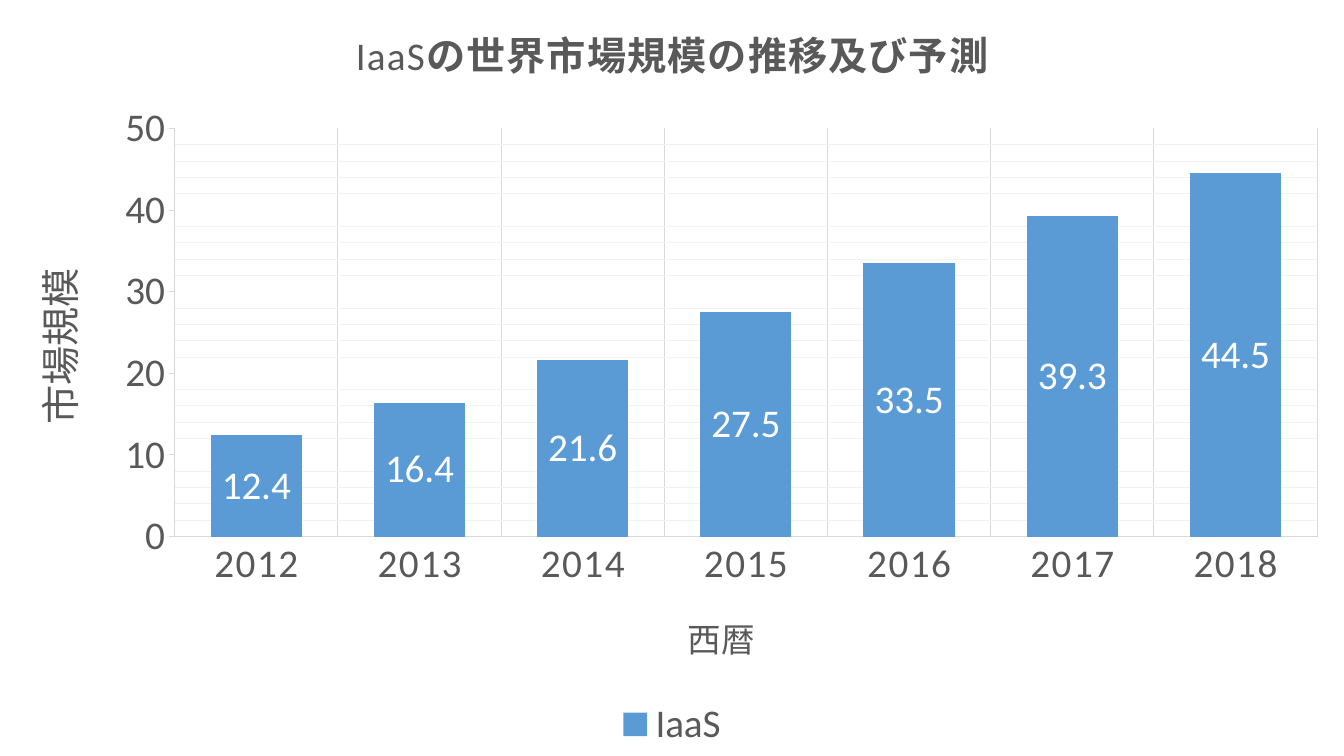
import pptx
import pptx.chart.data
import pptx.dml.color
import pptx.enum.chart
import pptx.oxml
import pptx.oxml.ns
import pptx.util

Cm, Pt = pptx.util.Cm, pptx.util.Pt
chart_enum = pptx.enum.chart

FONT = "Calibri"
TEXT, GRID, MINOR_GRID, BAR, WHITE = "595959", "D9D9D9", "F2F2F2", "5B9BD5", "FFFFFF"
SERIES_NAME = "IaaS"
MARKET_SIZE = {
    "2012": 12.4, "2013": 16.4, "2014": 21.6, "2015": 27.5,
    "2016": 33.5, "2017": 39.3, "2018": 44.5,
}
CHART_TITLE = [("IaaS", False), ("の世界市場規模の推移及び予測", True)]
CATEGORY_TITLE = [("西暦", False)]
VALUE_TITLE = [("市場規模", False)]
PLOT_AREA = {"x": 0.13, "y": 0.17, "w": 0.85, "h": 0.54}


def rgb(color):
    """Turn a hex string into a colour."""
    return pptx.dml.color.RGBColor.from_string(color)


def style_font(font, color=TEXT, size=28, bold=False):
    """Set face, size, weight and colour of a font."""
    font.name, font.size, font.bold = FONT, Pt(size), bold
    font.color.rgb = rgb(color)


def style_line(line_format, color):
    """Set a thin solid line."""
    line_format.width = Pt(0.75)
    line_format.color.rgb = rgb(color)


def write_title(text_frame, runs, size=28):
    """Write a chart or axis title run by run."""
    paragraph = text_frame.paragraphs[0]
    for text, bold in runs:
        run = paragraph.add_run()
        run.text = text
        style_font(run.font, size=size, bold=bold)


def space_letters(chart, path, hundredths):
    """Widen the letter spacing of the text properties found at a path."""
    for properties in chart.element.xpath(path):
        properties.set("spc", str(hundredths))


def style_minor_gridlines(chart, color):
    """Set thin solid minor gridlines on the value axis."""
    for gridlines in chart.element.xpath("c:chart/c:plotArea/c:valAx/c:minorGridlines"):
        gridlines.append(pptx.oxml.parse_xml(
            f'<c:spPr {pptx.oxml.ns.nsdecls("c", "a")}><a:ln w="{Pt(0.75)}"><a:solidFill>'
            f'<a:srgbClr val="{color}"/></a:solidFill></a:ln></c:spPr>'))


def place_plot_area(chart, fractions):
    """Fix the inner plot area, given as fractions of the chart."""
    plot_area = chart.element.xpath("c:chart/c:plotArea")[0]
    for layout in plot_area.xpath("c:layout"):
        plot_area.remove(layout)
    modes = '<c:layoutTarget val="inner"/><c:xMode val="edge"/><c:yMode val="edge"/>'
    values = "".join(f'<c:{key} val="{value}"/>' for key, value in fractions.items())
    plot_area.insert(0, pptx.oxml.parse_xml(
        f'<c:layout {pptx.oxml.ns.nsdecls("c")}><c:manualLayout>'
        f"{modes}{values}</c:manualLayout></c:layout>"))


def style_axis(axis, title, title_size, tick_mark):
    """Format an axis with its line, labels and title."""
    style_font(axis.tick_labels.font)
    style_line(axis.format.line, GRID)
    axis.major_tick_mark = tick_mark
    axis.minor_tick_mark = chart_enum.XL_TICK_MARK.NONE
    write_title(axis.axis_title.text_frame, title, title_size)


presentation = pptx.Presentation()
presentation.slide_width, presentation.slide_height = Cm(33.87), Cm(19.05)
slide = presentation.slides.add_slide(presentation.slide_layouts[6])

chart_data = pptx.chart.data.CategoryChartData()
chart_data.categories = list(MARKET_SIZE)
chart_data.add_series(SERIES_NAME, list(MARKET_SIZE.values()))
chart = slide.shapes.add_chart(
    chart_enum.XL_CHART_TYPE.COLUMN_STACKED, Cm(0), Cm(0),
    presentation.slide_width, presentation.slide_height, chart_data).chart
chart.font.name, chart.font.size = FONT, Pt(10)

write_title(chart.chart_title.text_frame, CHART_TITLE)
chart.has_legend = True
chart.legend.position = chart_enum.XL_LEGEND_POSITION.BOTTOM
chart.legend.include_in_layout = False
style_font(chart.legend.font)

category_axis, value_axis = chart.category_axis, chart.value_axis
style_axis(category_axis, CATEGORY_TITLE, 24, chart_enum.XL_TICK_MARK.NONE)
category_axis.has_major_gridlines = True
style_line(category_axis.major_gridlines.format.line, GRID)

style_axis(value_axis, VALUE_TITLE, 28, chart_enum.XL_TICK_MARK.OUTSIDE)
value_axis.minimum_scale, value_axis.maximum_scale = 0, 50
value_axis.major_unit, value_axis.minor_unit = 10, 2
value_axis.has_major_gridlines = False
value_axis.has_minor_gridlines = True
style_minor_gridlines(chart, MINOR_GRID)
for body in chart.element.xpath("c:chart/c:plotArea/c:valAx/c:title//a:bodyPr"):
    body.set("rot", "-5400000")
    body.set("vert", "horz")

plot = chart.plots[0]
plot.gap_width, plot.overlap, plot.vary_by_categories = 79, 100, False
series = plot.series[0]
series.format.fill.solid()
series.format.fill.fore_color.rgb = rgb(BAR)
labels = series.data_labels
labels.show_value = True
labels.position = chart_enum.XL_LABEL_POSITION.CENTER
style_font(labels.font, WHITE)

space_letters(chart, "c:chart/c:title//a:rPr", 100)
space_letters(chart, "c:chart/c:plotArea/c:catAx/c:txPr//a:defRPr", 120)
place_plot_area(chart, PLOT_AREA)

presentation.save("out.pptx")
